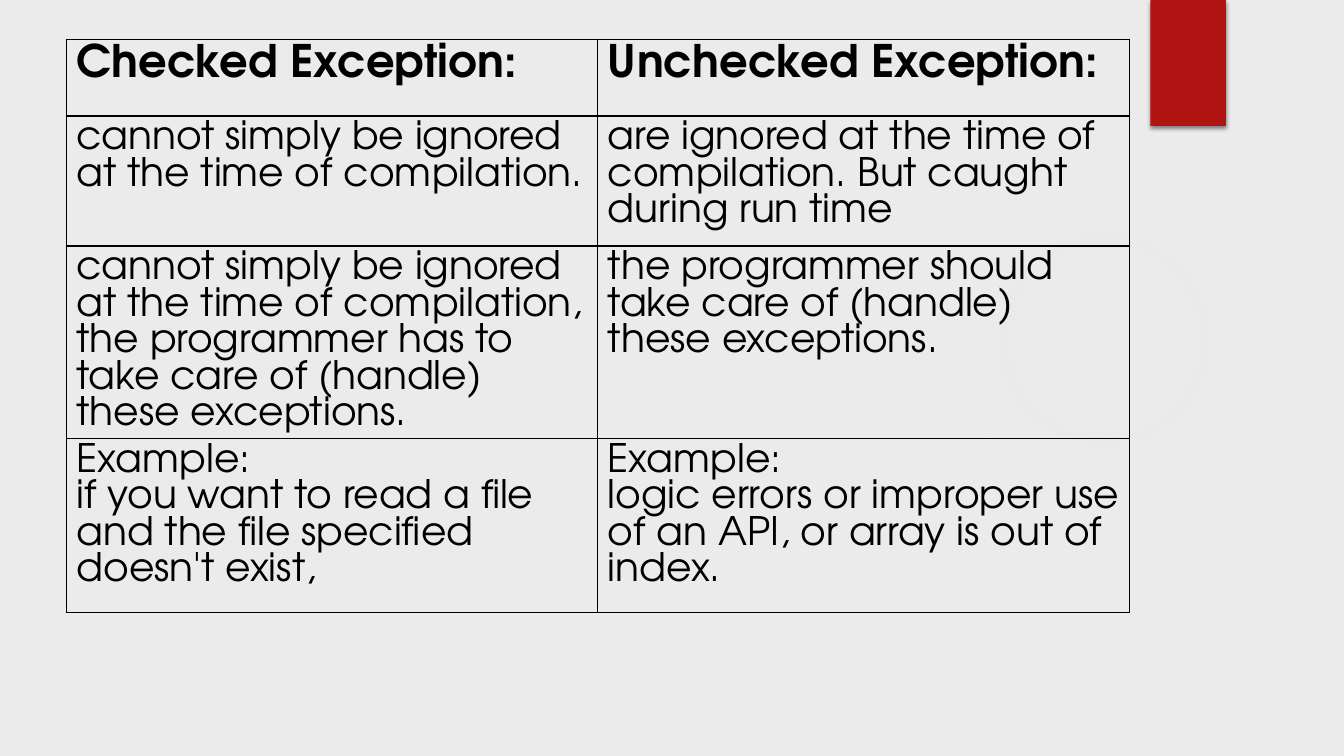
from pptx import Presentation, util as u
from pptx.dml.color import RGBColor
from pptx.enum import shapes, text
from pptx.oxml import parse_xml
from pptx.oxml.ns import nsdecls

SLIDE_SIZE = (13.33, 7.5)
BACKGROUND, INK, RED, GLOW = "EBEBEB", "000000", "B01513", "F3F3F3"
FONT = "TeX Gyre Adventor"
GLOW_BOX = (9.41, 1.83, 3.08, 3.08)
RIBBON_BOX = (11.41, 0, 0.75, 1.25)
GLOW_STOPS = [(0, 7), (36, 6), (69, 0)]
TABLE_CORNER = (0.66, 0.39)
COLUMN_WIDTH = 5.27
ROW_HEIGHTS = [0.76, 1.29, 1.29, 1.73]
ROWS = [
    ("Checked Exception:", "Unchecked Exception:"),
    ("cannot simply be ignored at the time of compilation.",
     "are ignored at the time of compilation. But caught during run time"),
    ("cannot simply be ignored at the time of compilation, the programmer has to "
     "take care of (handle) these exceptions.",
     "the programmer should take care of (handle) these exceptions."),
    ("Example:\nif you want to read a file and the file specified doesn't exist,",
     "Example:\nlogic errors or improper use of an API, or array is out of index."),
]
HEADER_FORMAT = {"name": FONT, "size": u.Pt(32), "bold": True}
BODY_FORMAT = {"name": FONT, "size": u.Pt(28), "bold": False}


def paint(fill, color):
    fill.solid()
    fill.fore_color.rgb = RGBColor.from_string(color)


def drawing(xml):
    tag, rest = xml.split(" ", 1)
    return parse_xml(f"{tag} {nsdecls('a')} {rest}")


def add_plain_shape(slide, kind, box, color):
    shape = slide.shapes.add_shape(kind, *map(u.Inches, box))
    shape.shadow.inherit = False
    shape.line.fill.background()
    paint(shape.fill, color)
    return shape


def add_glow(slide):
    shape = add_plain_shape(slide, shapes.MSO_SHAPE.OVAL, GLOW_BOX, GLOW)
    stops = "".join(
        f'<a:gs pos="{place * 1000}"><a:srgbClr val="{GLOW}">'
        f'<a:alpha val="{alpha * 1000}"/></a:srgbClr></a:gs>'
        for place, alpha in GLOW_STOPS)
    gradient = drawing(
        f'<a:gradFill rotWithShape="1"><a:gsLst>{stops}</a:gsLst><a:path path="circle">'
        '<a:fillToRect l="50000" t="50000" r="50000" b="50000"/></a:path></a:gradFill>')
    solid = shape.fill._xPr.solidFill if hasattr(shape.fill._xPr, "solidFill") else \
        shape.fill._xPr.eg_fillProperties
    solid.getparent().replace(solid, gradient)


def add_ribbon(slide):
    shape = add_plain_shape(slide, shapes.MSO_SHAPE.RECTANGLE, RIBBON_BOX, RED)
    effects = shape.element.spPr.find("{*}effectLst")
    effects.append(drawing(
        f'<a:outerShdw blurRad="{u.Pt(3)}" dist="{u.Pt(2)}" dir="5400000" rotWithShape="0">'
        f'<a:srgbClr val="{INK}"><a:alpha val="45000"/></a:srgbClr></a:outerShdw>'))


def fill_cell(cell, content, font_format):
    cell.text = content
    cell.vertical_anchor = text.MSO_ANCHOR.TOP
    for paragraph in cell.text_frame.paragraphs:
        for run in paragraph.runs:
            for name, value in font_format.items():
                setattr(run.font, name, value)
            paint(run.font.fill, INK)
    properties = cell._tc.get_or_add_tcPr()
    for side in ("lnL", "lnR", "lnT", "lnB"):
        properties.append(drawing(
            f'<a:{side} w="{u.Pt(1)}"><a:solidFill><a:srgbClr val="{INK}"/>'
            f'</a:solidFill></a:{side}>'))
    cell.fill.background()


def add_comparison(slide):
    columns = len(ROWS[0])
    box = (*TABLE_CORNER, COLUMN_WIDTH * columns, sum(ROW_HEIGHTS))
    table = slide.shapes.add_table(len(ROWS), columns, *map(u.Inches, box)).table
    table.first_row = table.horz_banding = False
    for index, (height, contents) in enumerate(zip(ROW_HEIGHTS, ROWS)):
        table.rows[index].height = u.Inches(height)
        for column, content in enumerate(contents):
            fill_cell(table.cell(index, column), content,
                      BODY_FORMAT if index else HEADER_FORMAT)


def main():
    """Build the slide comparing checked and unchecked exceptions."""
    presentation = Presentation()
    presentation.slide_width, presentation.slide_height = map(u.Inches, SLIDE_SIZE)
    slide = presentation.slides.add_slide(presentation.slide_layouts[6])
    paint(slide.background.fill, BACKGROUND)
    add_glow(slide)
    add_ribbon(slide)
    add_comparison(slide)
    presentation.save("out.pptx")


if __name__ == "__main__":
    main()
